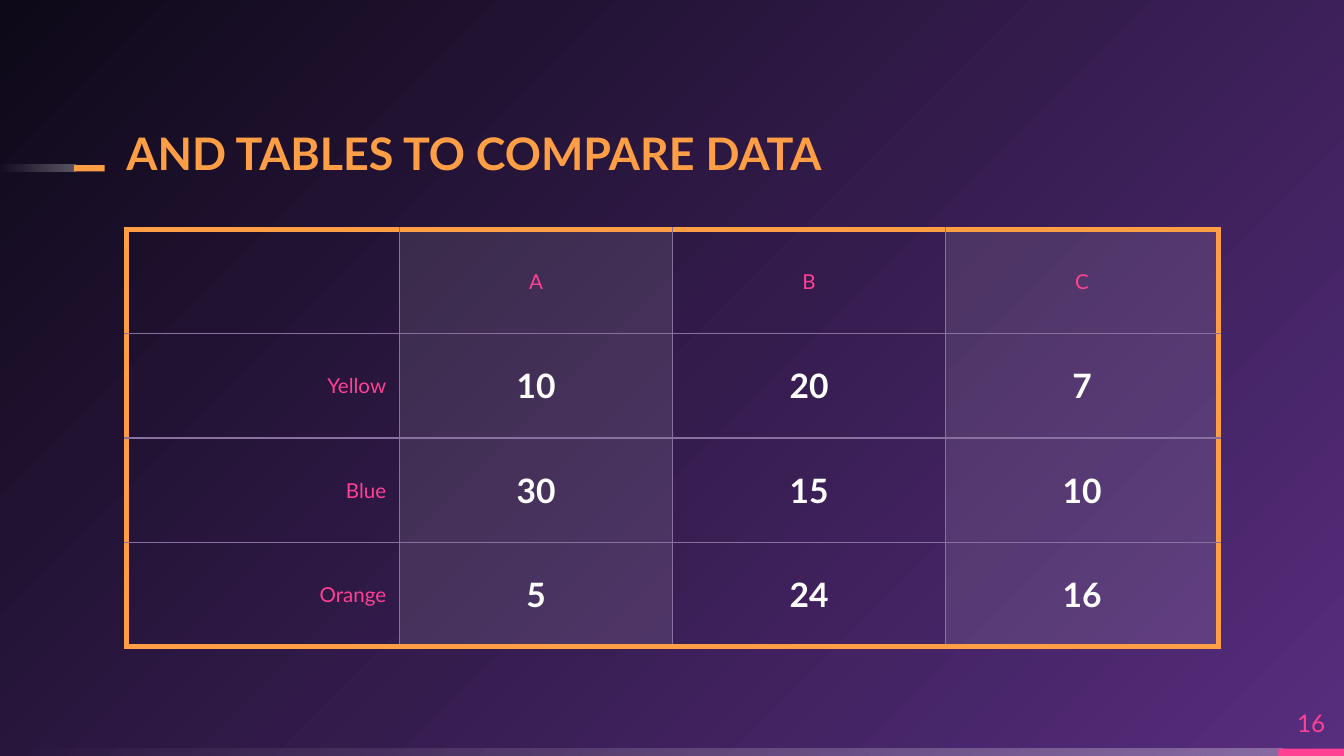
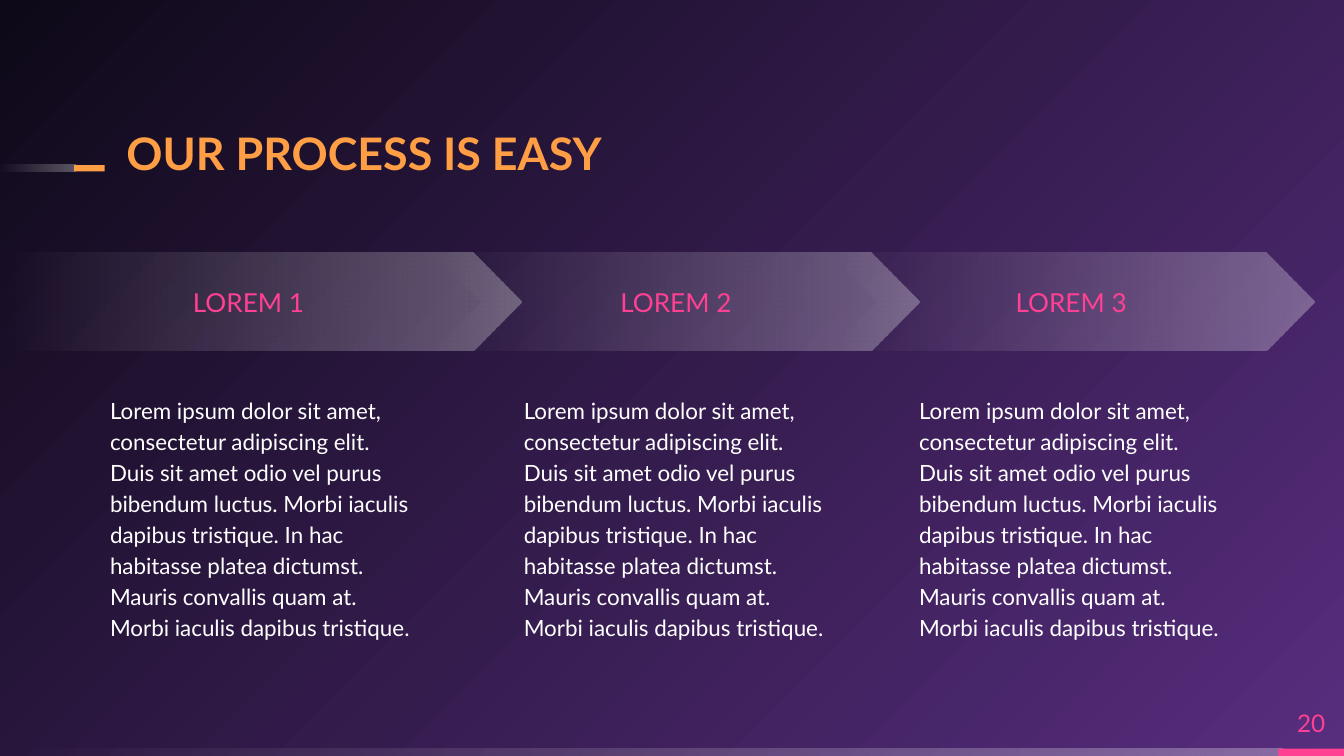
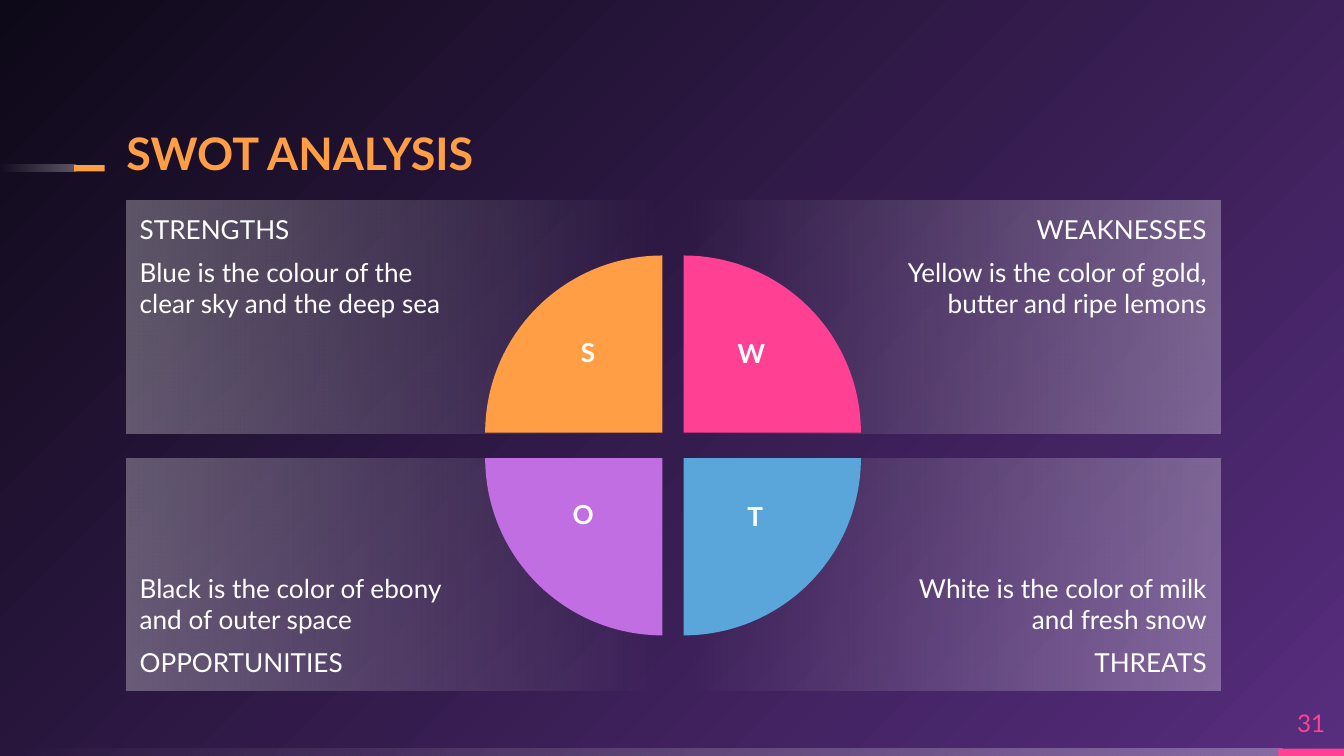
from lxml import etree
from pptx import Presentation
from pptx.dml.color import RGBColor
from pptx.enum.shapes import MSO_SHAPE as Preset
from pptx.enum.text import MSO_ANCHOR as Anchor, PP_ALIGN as Align
from pptx.oxml import parse_xml
from pptx.oxml.ns import nsdecls, qn
from pptx.util import Cm, Pt

COLORS = {
    "orange": "FF9E44", "pink": "FF4093", "blue": "5AA5DA", "violet": "C06EE2",
    "white": "FFFFFF", "grid": "8870A0", "purple": "572D7E", "night": "0E0918",
}
FONT = "Lato"
LEFT = 2.39
INSET = (0.25, 0.25, 0.25, 0.25)
NO_INSET = (0, 0, 0, 0)
FADE = (("white", 30), ("white", 0))
LOREM = (
    "Lorem ipsum dolor sit amet, consectetur adipiscing elit. Duis sit amet odio "
    "vel purus bibendum luctus. Morbi iaculis dapibus tristique. In hac habitasse "
    "platea dictumst. Mauris convallis quam at. Morbi iaculis dapibus tristique."
)


def rgb(name):
    return RGBColor.from_string(COLORS[name])


class Deck:
    """Holds the shared style and the slide being drawn."""

    def __init__(self):
        self.presentation = Presentation()
        self.presentation.slide_width = Cm(25.4)
        self.presentation.slide_height = Cm(14.29)
        self.slide = None

    def new_slide(self, title, number):
        layout = self.presentation.slide_layouts[6]
        self.slide = self.presentation.slides.add_slide(layout)
        fill = self.slide.background.fill
        self.gradient(fill, self.slide.element, (("purple", 100), ("night", 100)),
                      '<a:path path="circle"><a:fillToRect l="100000" t="100000"/></a:path>')
        # Footer band and title dash
        self.shape((0, 14.15, 24.23, 0.14), fade=180)
        self.shape((24.16, 14.15, 1.24, 0.14), color="pink")
        self.shape((0, 3.12, 1.42, 0.12), fade=180)
        self.shape((1.4, 3.12, 0.58, 0.12), color="orange")
        # Title and page number
        self.text((LEFT, 2.31, 14.73, 1.09), title, 24, "orange", bold=True,
                  spacing=0.9, anchor=Anchor.BOTTOM, inset=NO_INSET)
        self.text((24.16, 13.18, 1.24, 0.97), number, 13, "pink", align=Align.CENTER,
                  anchor=Anchor.MIDDLE, inset=NO_INSET)

    def gradient(self, fill, parent, stops, direction):
        fill.gradient()
        element = parent.find(".//" + qn("a:gradFill"))
        for child in list(element):
            element.remove(child)
        marks = "".join(
            f'<a:gs pos="{index * 100000}"><a:srgbClr val="{COLORS[name]}">'
            f'<a:alpha val="{alpha * 1000}"/></a:srgbClr></a:gs>'
            for index, (name, alpha) in enumerate(stops))
        source = parse_xml(f'<a:gradFill {nsdecls("a")}><a:gsLst>{marks}</a:gsLst>'
                           f'{direction}</a:gradFill>')
        element.extend(list(source))

    def shape(self, box, preset=Preset.RECTANGLE, color=None, fade=None):
        shape = self.slide.shapes.add_shape(preset, *map(Cm, box))
        shape.shadow.inherit = False
        shape.line.fill.background()
        if fade is None:
            shape.fill.solid()
            shape.fill.fore_color.rgb = rgb(color)
        else:
            self.gradient(shape.fill, shape.element.spPr, FADE,
                          f'<a:lin ang="{fade * 60000}" scaled="0"/>')
        return shape

    def text(self, box, *content, **style):
        shape = self.slide.shapes.add_textbox(*map(Cm, box))
        self.label(shape, *content, **style)

    def label(self, shape, *content, anchor=Anchor.TOP, inset=INSET, **style):
        frame = shape.text_frame
        frame.word_wrap = True
        frame.vertical_anchor = anchor
        (frame.margin_left, frame.margin_top,
         frame.margin_right, frame.margin_bottom) = map(Cm, inset)
        self.fill_text(frame, *content, **style)

    def fill_text(self, frame, text, size, color, bold=False, align=Align.LEFT, spacing=None):
        frame.text = text
        for index, paragraph in enumerate(frame.paragraphs):
            paragraph.alignment = align
            if spacing:
                paragraph.line_spacing = spacing
            if index:
                paragraph.space_before = paragraph.space_after = Pt(6)
            font = paragraph.font
            font.name, font.size, font.bold = FONT, Pt(size), bold
            font.color.rgb = rgb(color)

    def table(self, rows, left, top, column_width, row_height):
        row_count, column_count = len(rows), len(rows[0])
        table = self.slide.shapes.add_table(
            row_count, column_count, Cm(left), Cm(top),
            Cm(column_width * column_count), Cm(row_height * row_count)).table
        table.first_row = table.horz_banding = False
        for r, row in enumerate(rows):
            for c, value in enumerate(row):
                cell = table.cell(r, c)
                cell.vertical_anchor = Anchor.MIDDLE
                cell.margin_left = cell.margin_right = Cm(0.25)
                cell.margin_top = cell.margin_bottom = Cm(0.18)
                heading = r == 0 or c == 0
                self.fill_text(cell.text_frame, value, 11 if heading else 18,
                               "pink" if heading else "white", bold=not heading,
                               align=Align.CENTER if c else Align.RIGHT)
                self.tint(cell, c % 2 == 1)
                self.borders(cell, L=c == 0, R=c == column_count - 1,
                             T=r == 0, B=r == row_count - 1)

    def tint(self, cell, shaded):
        if not shaded:
            cell.fill.background()
            return
        cell.fill.solid()
        cell.fill.fore_color.rgb = rgb("white")
        color = cell._tc.tcPr.find(".//" + qn("a:srgbClr"))
        etree.SubElement(color, qn("a:alpha")).set("val", "10000")

    def borders(self, cell, **outer_sides):
        for index, (side, outer) in enumerate(outer_sides.items()):
            width, name = (Pt(3), "orange") if outer else (Pt(0.75), "grid")
            cell._tc.tcPr.insert(index, parse_xml(
                f'<a:ln{side} {nsdecls("a")} w="{width}"><a:solidFill>'
                f'<a:srgbClr val="{COLORS[name]}"/></a:solidFill></a:ln{side}>'))


def table_slide(deck):
    deck.new_slide("AND TABLES TO COMPARE DATA", "16")
    rows = [("", "A", "B", "C"), ("Yellow", "10", "20", "7"),
            ("Blue", "30", "15", "10"), ("Orange", "5", "24", "16")]
    deck.table(rows, LEFT, 4.34, column_width=5.16, row_height=1.97)


def process_slide(deck):
    deck.new_slide("OUR PROCESS IS EASY", "20")
    # Arrow preset, arrow left, arrow width, text left
    steps = [(Preset.PENTAGON, 0, 9.86, 1.83),
             (Preset.CHEVRON, 8.18, 9.19, 9.65),
             (Preset.CHEVRON, 15.65, 9.19, 17.12)]
    for number, (preset, left, width, text_left) in enumerate(steps, 1):
        arrow = deck.shape((left, 4.78, width, 1.85), preset, fade=180)
        deck.label(arrow, f"LOREM {number}", 14, "pink", align=Align.CENTER,
                   anchor=Anchor.MIDDLE)
        deck.text((text_left, 7.19, 6.22, 5), LOREM, 12, "white", spacing=1.15)


def swot_slide(deck):
    deck.new_slide("SWOT ANALYSIS", "31")
    # Panels, with the heading on the outer edge
    panels = [
        ("STRENGTHS", "Blue is the colour of the clear sky and the deep sea"),
        ("WEAKNESSES", "Yellow is the color of gold, butter and ripe lemons"),
        ("OPPORTUNITIES", "Black is the color of ebony and of outer space"),
        ("THREATS", "White is the color of milk and fresh snow"),
    ]
    for index, (heading, body) in enumerate(panels):
        row, column = divmod(index, 2)
        panel = deck.shape((LEFT + 10.53 * column, 3.79 + 4.87 * row, 10.14, 4.4),
                           fade=180 * column)
        lines = (body, heading) if row else (heading, body)
        deck.label(panel, "\n".join(lines), 14, "white",
                   align=Align.RIGHT if column else Align.LEFT,
                   anchor=Anchor.BOTTOM if row else Anchor.TOP,
                   inset=(3.81, 0.25, 0.25, 0.25) if column else (0.25, 0.25, 3.81, 0.25))

    # Quarter circles, clockwise from the top left
    quarters = [("orange", 9.17, 4.83), ("pink", 9.57, 4.83),
                ("blue", 9.57, 5.31), ("violet", 9.17, 5.31)]
    for turn, (color, left, top) in enumerate(quarters):
        quarter = deck.shape((left, top, 6.7, 6.7), Preset.PIE, color)
        quarter.adjustments[0], quarter.adjustments[1] = 108, 162
        quarter.rotation = 90 * turn

    # Letters
    letters = [("S", 10.67, 6.22, 0.89), ("W", 13.49, 6.25, 1.42),
               ("O", 10.57, 9.3, 0.91), ("T", 13.82, 9.32, 0.91)]
    for letter, left, top, width in letters:
        deck.text((left, top, width, 1.2), letter, 14, "white", bold=True,
                  align=Align.CENTER, inset=(0, 0.13, 0, 0.13))


def main():
    deck = Deck()
    table_slide(deck)
    process_slide(deck)
    swot_slide(deck)
    deck.presentation.save("out.pptx")


if __name__ == "__main__":
    main()
